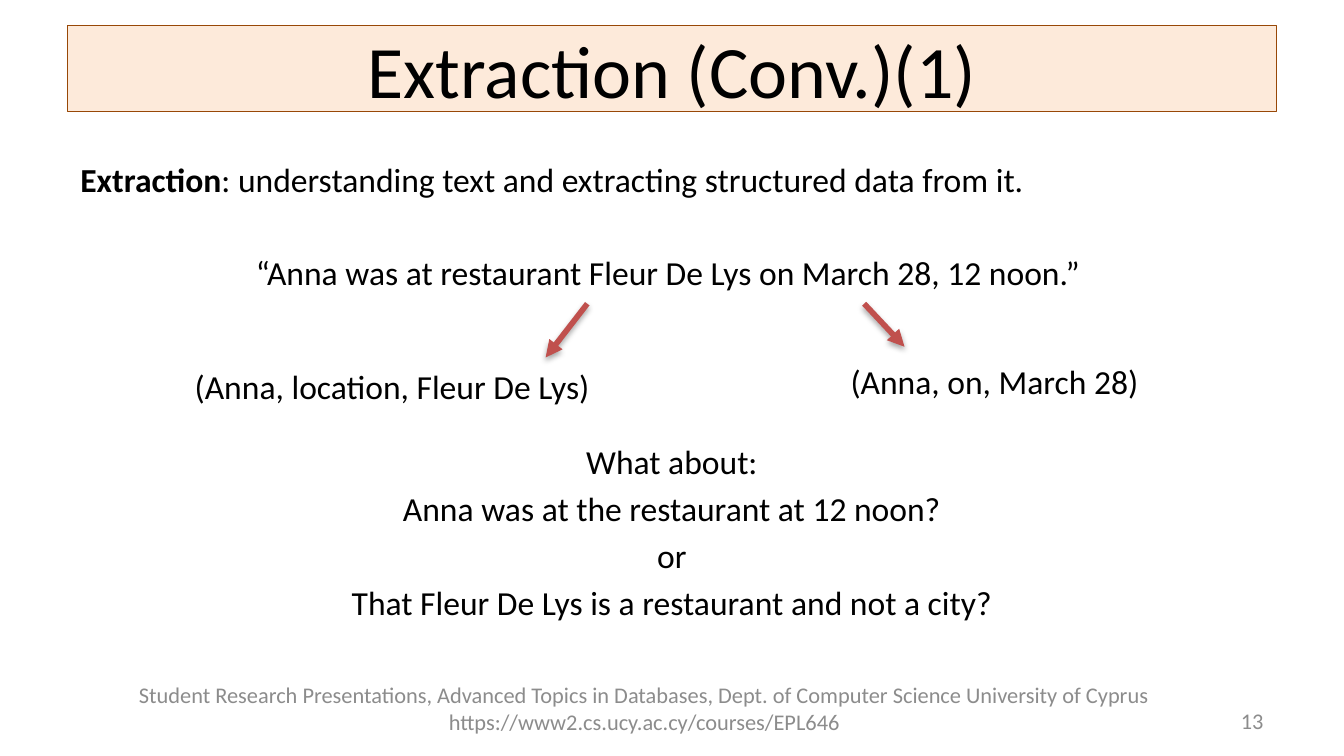
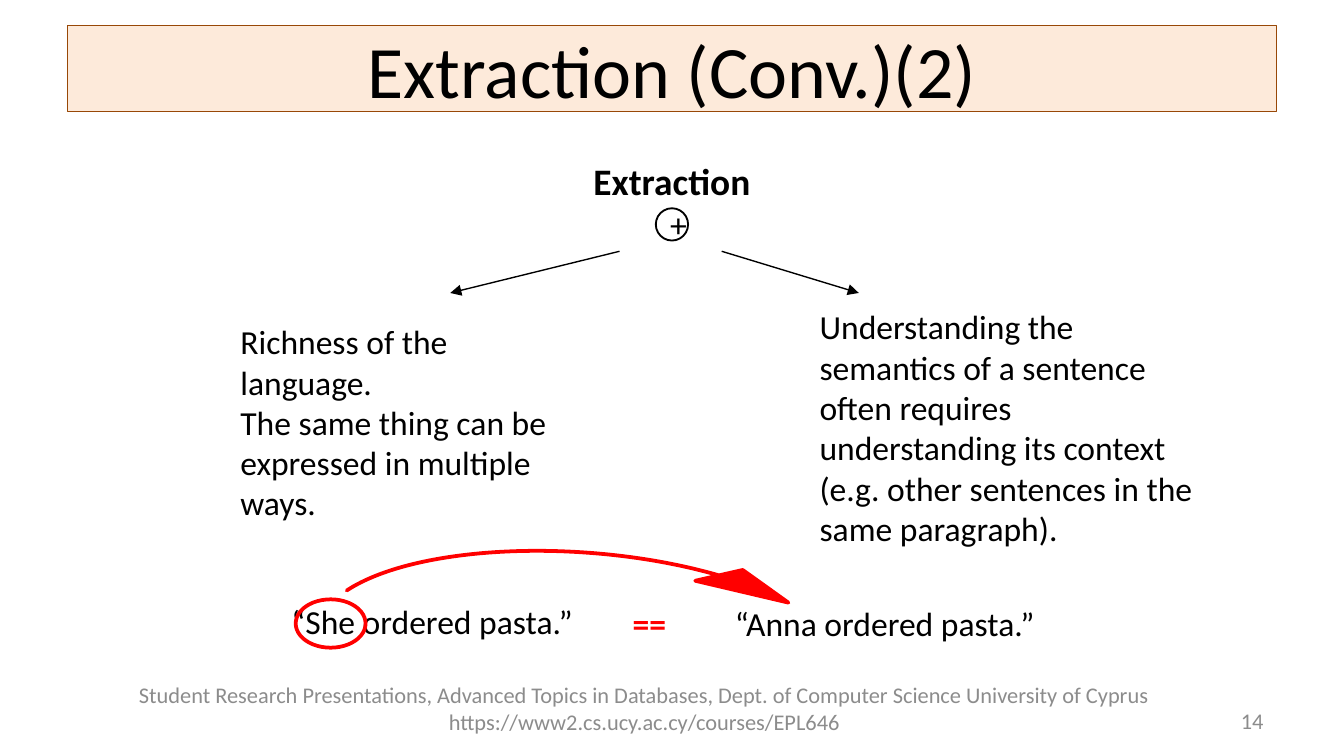
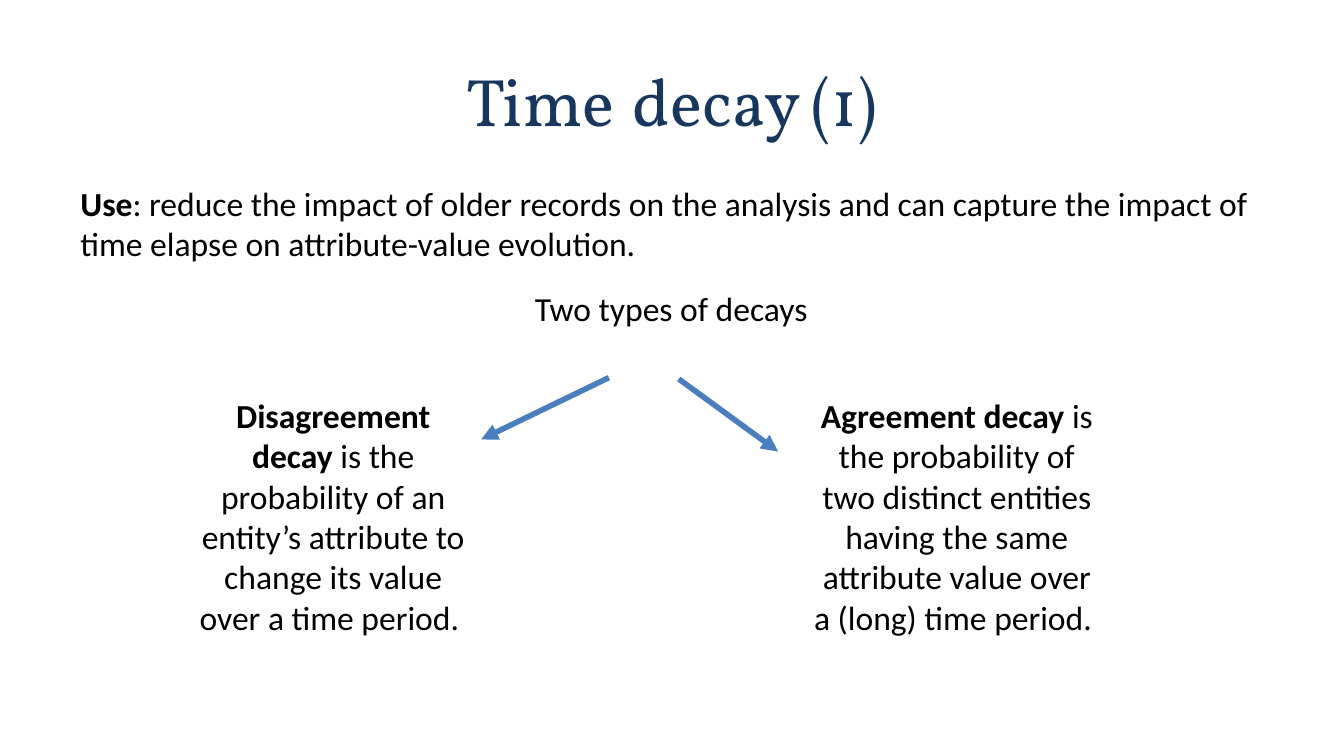
"""Build three slides on extraction and time decay."""
from lxml import etree
from pptx import Presentation, util as u
from pptx.dml.color import RGBColor
from pptx.enum import shapes, text
from pptx.oxml.ns import qn

BLACK, WHITE, RED, GREY, NAVY = "000000", "FFFFFF", "FF0000", "8C8C8C", "17375E"
BAND, BROWN, BRICK, BLUE = "FDEADA", "984807", "C0504D", "4B7EBC"
LEFT, CENTER, RIGHT = text.PP_ALIGN.LEFT, text.PP_ALIGN.CENTER, text.PP_ALIGN.RIGHT
TOP, MIDDLE = text.MSO_ANCHOR.TOP, text.MSO_ANCHOR.MIDDLE
FOOTER = ("Student Research Presentations, Advanced Topics in Databases, Dept. of Computer "
          "Science University of Cyprus https://www2.cs.ucy.ac.cy/courses/EPL646")


def rgb(color):
    return RGBColor.from_string(color)


def add_text(s, box, paras, align=LEFT, size=18, color=BLACK, anchor=TOP):
    """Add a text box; each paragraph is (bold lead, rest, alignment, space before)."""
    tf = s.shapes.add_textbox(*map(u.Inches, box)).text_frame
    tf.word_wrap = True
    tf.vertical_anchor = anchor
    for i, (lead, rest, *layout) in enumerate(paras):
        p = tf.add_paragraph() if i else tf.paragraphs[0]
        p.alignment = layout[0] if layout else align
        if layout and i:
            p.space_before = u.Pt(layout[1])
        p.font.name, p.font.size = "Calibri", u.Pt(size)
        p.font.color.rgb = rgb(color)
        for part, bold in ((lead, True), (rest, False)):
            if part:
                r = p.add_run()
                r.text = part
                r.font.bold = bold


prs = Presentation()
prs.slide_width = u.Inches(10)
prs.slide_height = prs.slide_width * 9 // 16
s1, s2, s3 = [prs.slides.add_slide(prs.slide_layouts[5]) for _ in range(3)]

for s, number in ((s1, 1), (s2, 2)):
    sp = s.shapes.title
    sp.left, sp.top, sp.width, sp.height = map(u.Inches, (0.5, 0.19, 9, 0.64))
    sp.fill.solid()
    sp.fill.fore_color.rgb = rgb(BAND)
    sp.line.color.rgb = rgb(BROWN)
    sp.line.width = u.Pt(0.75)
    tf = sp.text_frame
    tf.text = f"Extraction (Conv.)({number})"
    tf.auto_size = text.MSO_AUTO_SIZE.NONE
    tf.vertical_anchor = MIDDLE
    p = tf.paragraphs[0]
    p.alignment = CENTER
    p.font.name, p.font.size = "Calibri", u.Pt(39.6)
    p.font.color.rgb = rgb(BLACK)
    add_text(s, (0.5, 5.02, 8.59, 0.49), [("", FOOTER)], CENTER, 12, GREY, MIDDLE)
    add_text(s, (7.17, 5.21, 2.33, 0.3), [("", str(12 + number))], RIGHT, 12, GREY, MIDDLE)

add_text(s1, (0.5, 1.13, 9, 3.71), [
    ("Extraction", ": understanding text and extracting structured data from it.", LEFT, 0),
    ("", "“Anna was at restaurant Fleur De Lys on March 28, 12 noon.” ", CENTER, 28.5),
    ("", "What about:", CENTER, 79.6),
    ("", "Anna was at the restaurant at 12 noon?", CENTER, 3.6),
    ("", "or", CENTER, 3.6),
    ("", "That Fleur De Lys is a restaurant and not a city?", CENTER, 3.6)])
add_text(s1, (6.23, 2.64, 2.39, 0.4), [("", "(Anna, on, March 28)")])
add_text(s1, (1.35, 2.67, 3.18, 0.4), [("", "(Anna, location, Fleur De Lys)")])

add_text(s2, (0.5, 1.13, 9, 3.71), [("Extraction", "")], CENTER, 20)
add_text(s2, (6, 2.23, 3.1, 1.92), [
    ("", "Understanding the semantics of a sentence often requires understanding its context "
         "(e.g. other sentences in the same paragraph).")])
add_text(s2, (1.69, 2.34, 2.52, 1.62), [
    ("", "Richness of the language."),
    ("", "The same thing can be"),
    ("", "expressed in multiple ways.")])
add_text(s2, (2.07, 4.42, 2.36, 0.4), [("", "“She ordered pasta.”")])
add_text(s2, (5.37, 4.44, 2.63, 0.4), [("", "“Anna ordered pasta.”")])
add_text(s2, (4.61, 4.44, 0.47, 0.4), [("==", "")], color=RED)

for kind, box, fill, line, width in (
        (shapes.MSO_SHAPE.OVAL, (4.88, 1.55, 0.24, 0.24), WHITE, BLACK, 1),
        (shapes.MSO_SHAPE.OVAL, (2.2, 4.46, 0.52, 0.36), None, RED, 2),
        (shapes.MSO_SHAPE.CIRCULAR_ARROW, (2.18, 3.93, 4.29, 1.81), RED, RED, 2)):
    sp = s2.shapes.add_shape(kind, *map(u.Inches, box))
    sp.shadow.inherit = False
    if fill:
        sp.fill.solid()
        sp.fill.fore_color.rgb = rgb(fill)
    else:
        sp.fill.background()
    sp.line.color.rgb = rgb(line)
    sp.line.width = u.Pt(width)
    if fill == WHITE:
        sp.text_frame.text = "+"
        p = sp.text_frame.paragraphs[0]
        p.alignment = CENTER
        p.font.name, p.font.size = "Calibri", u.Pt(18)
        p.font.color.rgb = rgb(BLACK)
    if kind == shapes.MSO_SHAPE.CIRCULAR_ARROW:
        sp.rotation = 4.2
        for i, value in enumerate((0, 9.34, 196.45, 113.99, 0.1)):
            sp.adjustments[i] = value

sp = s3.shapes.title
sp.left, sp.top, sp.width, sp.height = map(u.Inches, (0.5, 0.23, 9, 0.94))
tf = sp.text_frame
tf.auto_size = text.MSO_AUTO_SIZE.NONE
tf.vertical_anchor = MIDDLE
p = tf.paragraphs[0]
p.alignment = CENTER
for part, font, size, color in (("Time", "Vollkorn", 36, NAVY), (" ", "Calibri", 44, BLACK),
                                ("decay (1)", "Vollkorn", 36, NAVY)):
    r = p.add_run()
    r.text = part
    r.font.name, r.font.size = font, u.Pt(size)
    r.font.color.rgb = rgb(color)
add_text(s3, (0.5, 1.31, 9, 3.71), [
    ("Use", ": reduce the impact of older records on the analysis and can capture the impact of "
            "time elapse on attribute-value evolution.")])
add_text(s3, (3.58, 2.09, 2.83, 0.4), [("", "Two types of decays")], CENTER)
add_text(s3, (1.38, 2.89, 2.2, 1.92), [
    ("Disagreement decay ", "is the probability of an entity’s attribute to change its value "
                            "over a time period. ")], CENTER)
add_text(s3, (5.94, 2.89, 2.36, 1.92), [
    ("Agreement decay ", "is the probability of two distinct entities having the same attribute "
                         "value over a (long) time period. ")], CENTER)

for s, ends, color, width in (
        (s1, (6.43, 2.26, 6.73, 2.58), BRICK, 3),
        (s1, (4.37, 2.26, 4.06, 2.66), BRICK, 3),
        (s2, (4.61, 1.87, 3.35, 2.18), BLACK, 0.75),
        (s2, (5.37, 1.87, 6.39, 2.18), BLACK, 0.75),
        (s3, (4.53, 2.81, 3.58, 3.27), BLUE, 3),
        (s3, (5.05, 2.82, 5.79, 3.36), BLUE, 3)):
    arrow = s.shapes.add_connector(shapes.MSO_CONNECTOR.STRAIGHT, *map(u.Inches, ends))
    arrow.line.color.rgb = rgb(color)
    arrow.line.width = u.Pt(width)
    sppr = arrow._element.spPr
    etree.SubElement(sppr.find(qn("a:ln")), qn("a:tailEnd"), type="triangle")
    effects = etree.SubElement(sppr, qn("a:effectLst"))
    if color == BRICK:
        shadow = etree.SubElement(effects, qn("a:outerShdw"), blurRad=str(u.Pt(3.1)),
                                  dist=str(u.Pt(1.8)), dir="5400000", rotWithShape="0")
        shade = etree.SubElement(shadow, qn("a:srgbClr"), val=BLACK)
        etree.SubElement(shade, qn("a:alpha"), val="35000")

prs.save("out.pptx")
